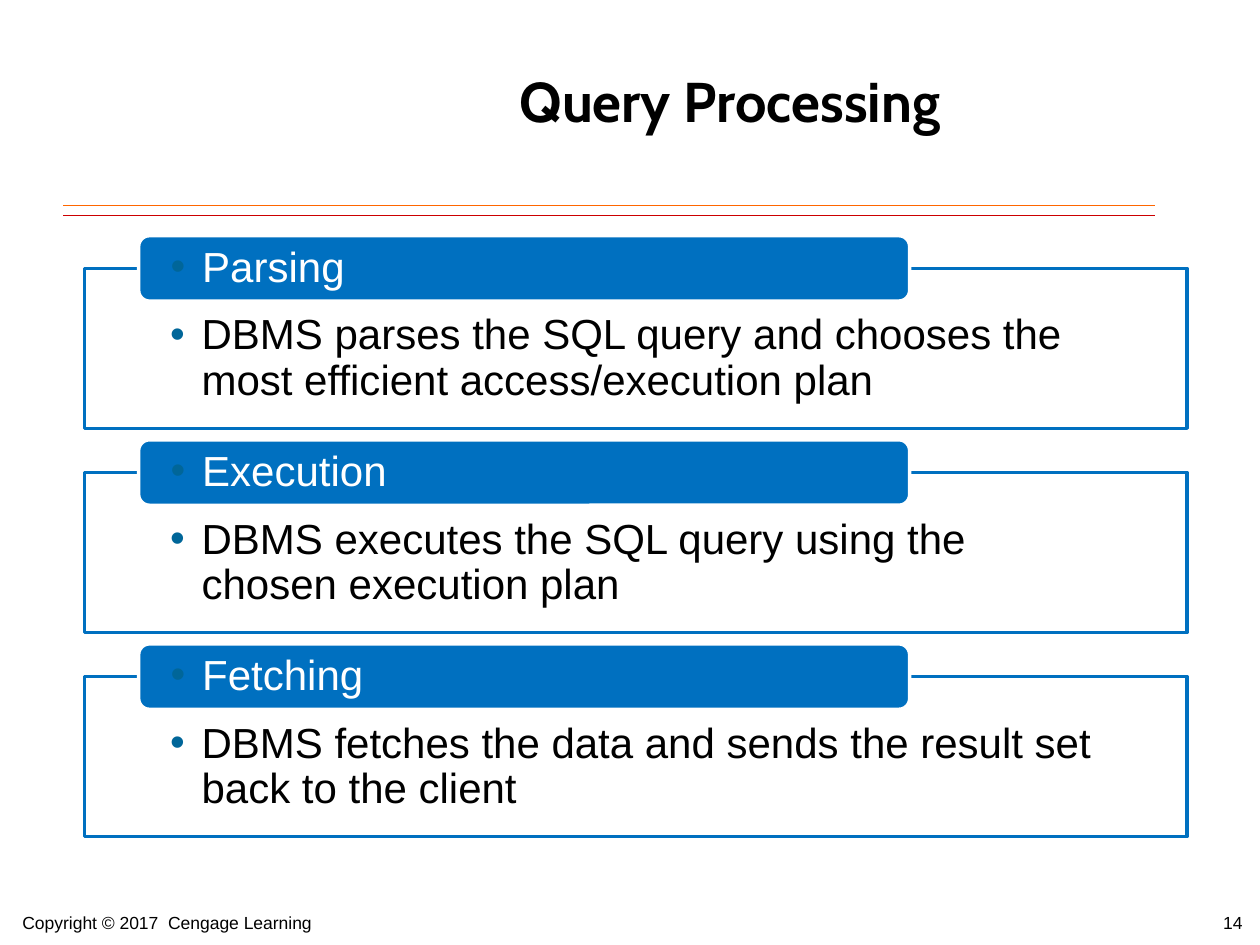
from lxml import etree
from pptx import Presentation
from pptx import util as u
from pptx.dml.color import RGBColor
from pptx.enum import shapes, text
from pptx.oxml import ns

PX = 9144
WHITE = RGBColor(0xFF, 0xFF, 0xFF)
BLACK = RGBColor(0, 0, 0)
BLUE = RGBColor(0x00, 0x70, 0xC0)
TEAL = RGBColor(0x00, 0x66, 0x99)
RED = RGBColor(0xCC, 0, 0)
ORANGE = RGBColor(0xFF, 0x66, 0)

STAGES = [
    ("Parsing", "DBMS parses the SQL query and chooses the most efficient access/execution plan"),
    ("Execution", "DBMS executes the SQL query using the chosen execution plan"),
    ("Fetching", "DBMS fetches the data and sends the result set back to the client"),
]
STAGE_PITCH = 162


def px(*lengths):
    """Turn pixel lengths into EMU."""
    return [u.Emu(length * PX) for length in lengths]


def add_span(para, words, size, color, font="Arial", bold=False):
    """Add one formatted run to a paragraph."""
    span = para.add_run()
    span.text = words
    span.font.name = font
    span.font.size = u.Pt(size)
    span.font.bold = bold
    span.font.color.rgb = color


def add_bullet(para):
    """Give a paragraph a hanging coloured bullet."""
    props = para._p.get_or_add_pPr()
    props.set("marL", str(25 * PX))
    props.set("indent", str(-25 * PX))
    color = etree.SubElement(props, ns.qn("a:buClr"))
    etree.SubElement(color, ns.qn("a:srgbClr"), val=str(TEAL))
    etree.SubElement(props, ns.qn("a:buFont"), typeface="Arial")
    etree.SubElement(props, ns.qn("a:buChar"), char="•")


def add_panel(page, kind, box, fill, line, insets, anchor, words, color):
    """Draw a filled shape holding one bulleted paragraph."""
    panel = page.shapes.add_shape(kind, *px(*box))
    panel.shadow.inherit = False
    panel.fill.solid()
    panel.fill.fore_color.rgb = fill
    panel.line.color.rgb = line
    panel.line.width = u.Pt(2)
    frame = panel.text_frame
    frame.word_wrap = True
    frame.vertical_anchor = anchor
    (frame.margin_left, frame.margin_top,
     frame.margin_right, frame.margin_bottom) = px(*insets)
    para = frame.paragraphs[0]
    para.alignment = text.PP_ALIGN.LEFT
    para.line_spacing = 0.9
    add_bullet(para)
    add_span(para, words, 24, color)
    return panel


def add_stage(page, box, name, detail):
    """Draw a stage: an outlined body with a tab over its top edge."""
    left, top, width, height = box
    body = add_panel(page, shapes.MSO_SHAPE.RECTANGLE, box, WHITE, BLUE,
                     (68, 36, 68, 19), text.MSO_ANCHOR.TOP, detail, BLACK)
    fill_color = body._element.spPr.find(".//" + ns.qn("a:srgbClr"))
    etree.SubElement(fill_color, ns.qn("a:alpha"), val="90000")
    add_panel(page, shapes.MSO_SHAPE.ROUNDED_RECTANGLE,
              (left + 43, top - 26, width - 263, 52), BLUE, WHITE,
              (23, 0, 23, 0), text.MSO_ANCHOR.MIDDLE, name, WHITE)


def add_label(page, box, words, size, wrap=True, **style):
    """Place a text box and return it."""
    label = page.shapes.add_textbox(*px(*box))
    label.text_frame.word_wrap = wrap
    add_span(label.text_frame.paragraphs[0], words, size, BLACK, **style)
    return label


def add_rule(page, left, top, width, color):
    """Draw a thin horizontal line."""
    rule = page.shapes.add_connector(
        shapes.MSO_CONNECTOR.STRAIGHT, *px(left, top, left + width, top))
    rule.line.color.rgb = color
    rule.line.width = u.Pt(0.75)
    etree.SubElement(rule._element.spPr, ns.qn("a:effectLst"))


def add_header(page, box):
    """Draw the title and the two rules below it."""
    left, top, width, height = box
    title = add_label(page, (left + 192, top, width - 192, 125),
                      "Query Processing", 32, font="Cabin", bold=True)
    title.text_frame.vertical_anchor = text.MSO_ANCHOR.MIDDLE
    title.text_frame.paragraphs[0].alignment = text.PP_ALIGN.CENTER
    add_rule(page, left, top + height, width, RED)
    add_rule(page, left, top + height - 8, width, ORANGE)


def add_stages(page, box):
    """Stack the stages at an even pitch."""
    left, top, width, height = box
    for row, (name, detail) in enumerate(STAGES):
        add_stage(page, (left, top + row * STAGE_PITCH, width, height), name, detail)


def add_footer(page, box):
    """Place the copyright line and the page number."""
    left, top, width, height = box
    add_label(page, (left, top, 317, height), "Copyright © 2017  Cengage Learning", 10)
    add_label(page, (left + width - 50, top, 50, height), "14", 10, wrap=False)


def main():
    """Build and save the deck."""
    deck = Presentation()
    deck.slide_width, deck.slide_height = px(1000, 750)
    page = deck.slides.add_slide(deck.slide_layouts[6])
    add_header(page, (50, 17, 867, 154))
    add_stages(page, (67, 213, 875, 127))
    add_footer(page, (8, 719, 1003, 25))
    deck.save("out.pptx")


if __name__ == "__main__":
    main()
